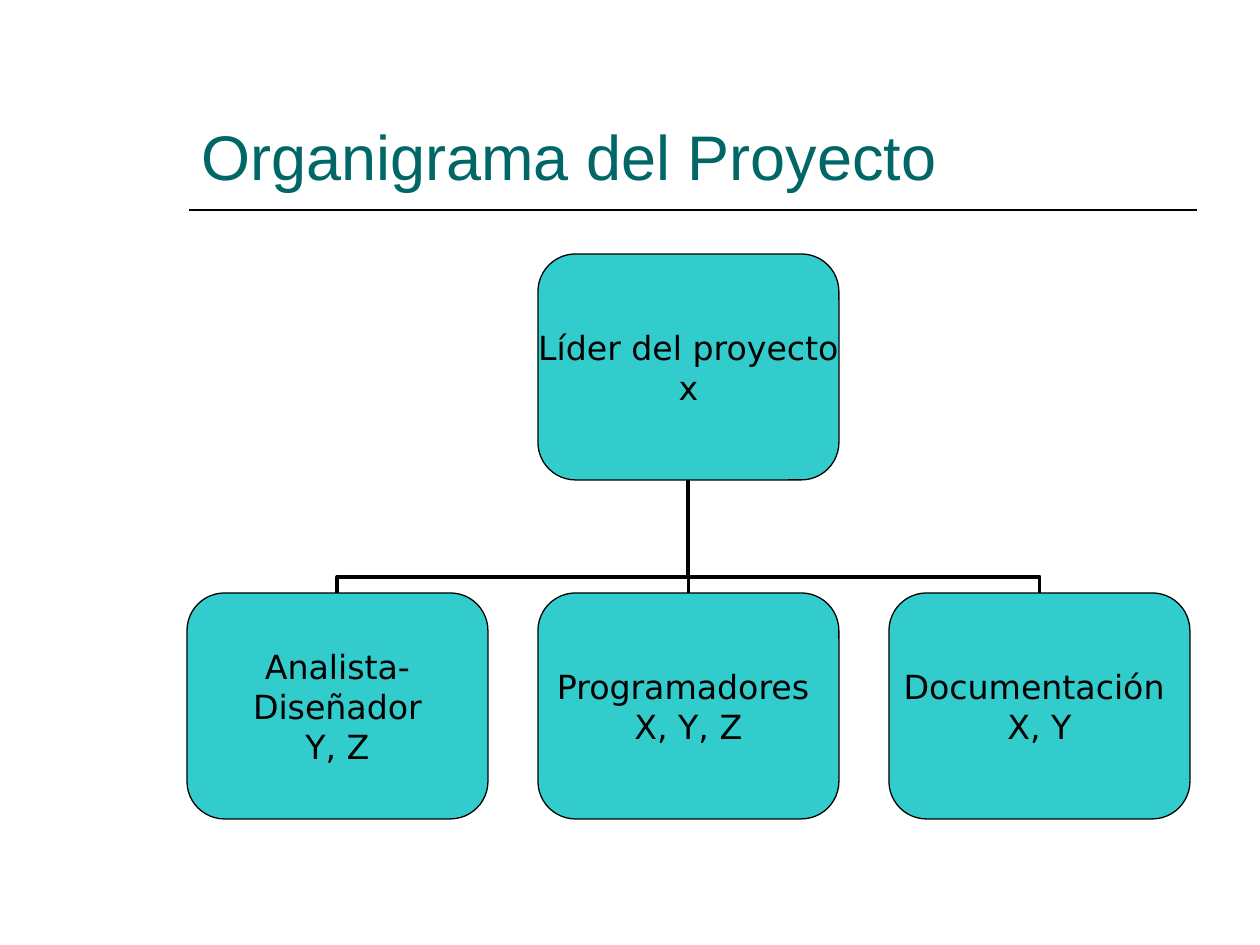
from dataclasses import dataclass

from lxml import etree
from pptx import Presentation
from pptx.dml.color import RGBColor
from pptx.enum.shapes import MSO_CONNECTOR, MSO_SHAPE
from pptx.enum.text import MSO_ANCHOR, PP_ALIGN
from pptx.oxml.ns import qn
from pptx.util import Pt

ROUND = MSO_SHAPE.ROUNDED_RECTANGLE
STRAIGHT, ELBOW = MSO_CONNECTOR.STRAIGHT, MSO_CONNECTOR.ELBOW
MIDDLE, BOTTOM = MSO_ANCHOR.MIDDLE, MSO_ANCHOR.BOTTOM
LEFT, CENTER = PP_ALIGN.LEFT, PP_ALIGN.CENTER
TOP_SIDE, LOW_SIDE = 0, 2
SCALE = 914400 / 126


def px(n):
    return round(n * SCALE)


@dataclass(frozen=True)
class Theme:
    title: str = "006666"
    box: str = "33CCCC"
    ink: str = "000000"
    head_font: str = "Arial"
    box_font: str = "DejaVu Sans"
    head_size: int = 36
    box_size: int = 19
    edge: float = 0.75
    rule: float = 1
    link: float = 2.25


class Chart:
    def __init__(self, slide, theme):
        self.shapes = slide.shapes
        self.theme = theme

    def label(self, frame, lines, style, align, **form):
        """Fill a text frame, one paragraph per line."""
        for key, val in form.items():
            setattr(frame, key, val)
        name, size, color = style
        for i, line in enumerate(lines):
            para = frame.add_paragraph() if i else frame.paragraphs[0]
            para.alignment = align
            run = para.add_run()
            run.text = line
            for key, val in {"name": name, "size": Pt(size)}.items():
                setattr(run.font, key, val)
            run.font.color.rgb = RGBColor.from_string(color)

    def stroke(self, line, width):
        line.color.rgb = RGBColor.from_string(self.theme.ink)
        line.width = Pt(width)

    def title(self, text, *area):
        t = self.theme
        frame = self.shapes.add_textbox(*map(px, area)).text_frame
        style = t.head_font, t.head_size, t.title
        self.label(frame, [text], style, LEFT,
                   word_wrap=True, vertical_anchor=BOTTOM)

    def box(self, lines, *area):
        t = self.theme
        shape = self.shapes.add_shape(ROUND, *map(px, area))
        shape.shadow.inherit = False
        shape.fill.solid()
        shape.fill.fore_color.rgb = RGBColor.from_string(t.box)
        self.stroke(shape.line, t.edge)
        self.label(shape.text_frame, lines, (t.box_font, t.box_size, t.ink),
                   CENTER, word_wrap=False, vertical_anchor=MIDDLE,
                   margin_left=0, margin_top=0, margin_right=0,
                   margin_bottom=0)
        return shape

    def line(self, kind, width, *ends):
        wire = self.shapes.add_connector(kind, *map(px, ends))
        self.stroke(wire.line, width)
        etree.SubElement(wire._element.spPr, qn("a:effectLst"))
        return wire

    def link(self, child, boss, bend):
        """Join the top of child to the foot of boss."""
        kind = STRAIGHT if child.left == boss.left else ELBOW
        wire = self.line(kind, self.theme.link, 0, 0, 0, 0)
        wire.begin_connect(child, TOP_SIDE)
        wire.end_connect(boss, LOW_SIDE)
        if kind == ELBOW:
            self.turn(wire, bend)

    def turn(self, wire, bend):
        """Rotate an elbow so that it leaves its start going up."""
        x1, y1, x2, y2 = wire.begin_x, wire.begin_y, wire.end_x, wire.end_y
        wide, high = y1 - y2, abs(x1 - x2)
        place = {"left": (x1 + x2 - wide) // 2, "top": (y1 + y2 - high) // 2,
                 "width": wide, "height": high}
        for key, val in place.items():
            setattr(wire, key, val)
        right = x1 > x2
        form = {"rot": "16200000" if right else "5400000",
                "flipH": "0" if right else "1", "flipV": "1"}
        props = wire._element.spPr
        for key, val in form.items():
            props.find(qn("a:xfrm")).set(key, val)
        guides = props.find(qn("a:prstGeom")).find(qn("a:avLst"))
        ratio = round(px(bend) / wide * 100000)
        etree.SubElement(guides, qn("a:gd"), name="adj1", fmla=f"val {ratio}")


def main():
    deck = Presentation()
    deck.slide_width, deck.slide_height = px(1260), px(945)
    theme = Theme()
    chart = Chart(deck.slides.add_slide(deck.slide_layouts[6]), theme)

    chart.line(STRAIGHT, theme.rule, 189, 210, 1197, 210)
    chart.title("Organigrama del Proyecto", 189, 42, 1008, 157)

    left, step, wide, high = 187, 351, 301, 226
    boss = chart.box(["Líder del proyecto", "x"],
                     left + step, 254, wide, high)
    teams = [["Analista-", "Diseñador", "Y, Z"],
             ["Programadores ", "X, Y, Z"],
             ["Documentación ", "X, Y"]]
    for i, lines in enumerate(teams):
        team = chart.box(lines, left + i * step, 593, wide, high)
        chart.link(team, boss, 16)

    deck.save("out.pptx")


if __name__ == "__main__":
    main()
